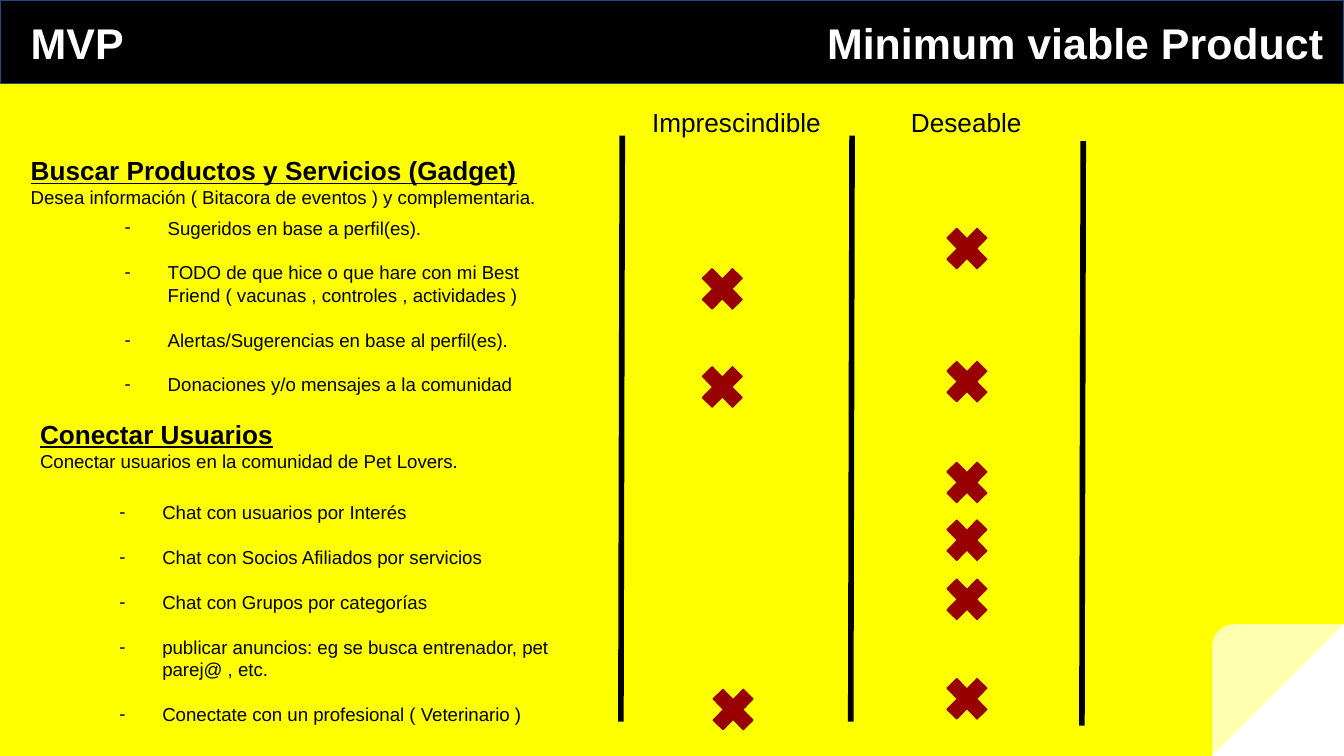
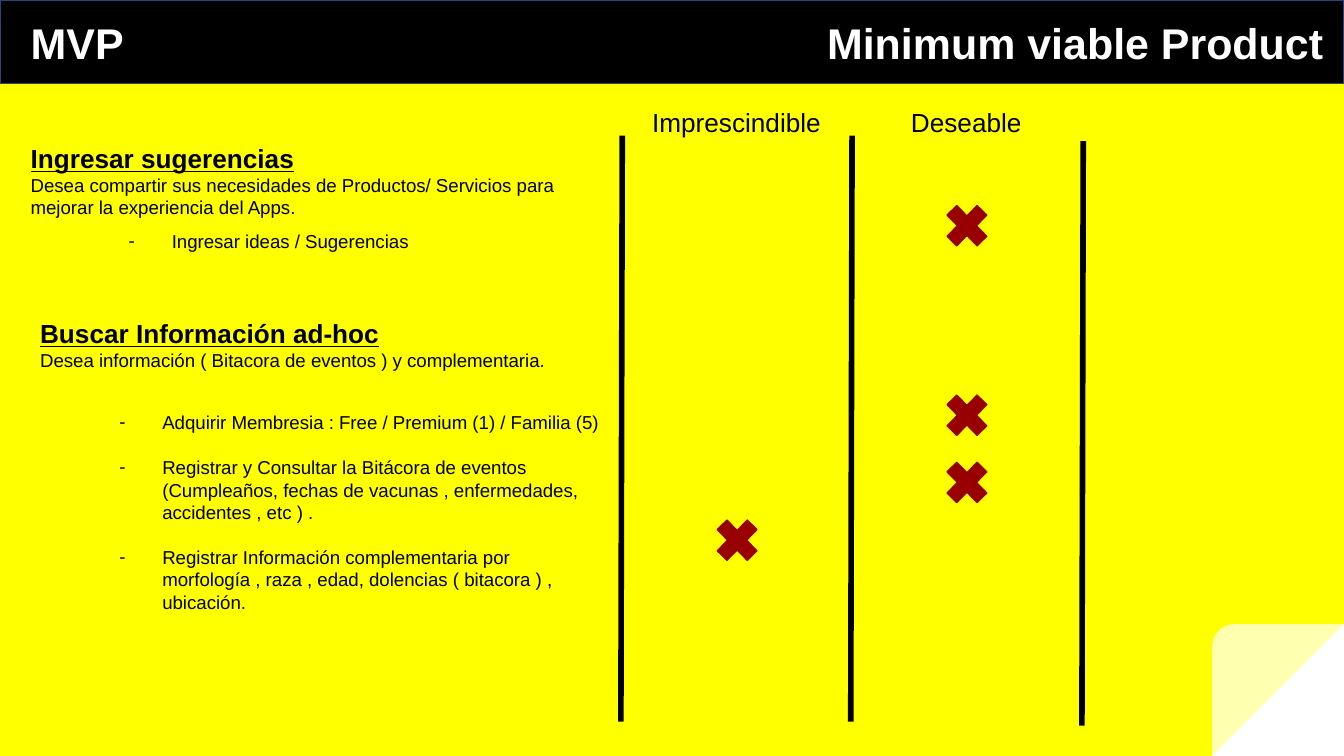
from typing import NamedTuple

import lxml.etree
import pptx
import pptx.dml.color
import pptx.enum.shapes
import pptx.enum.text
import pptx.oxml.ns
import pptx.util

Inches = pptx.util.Inches
Pt = pptx.util.Pt
Shape = pptx.enum.shapes.MSO_SHAPE
Align = pptx.enum.text.PP_ALIGN
qn = pptx.oxml.ns.qn

FONT = "Arial"
YELLOW, BLACK, WHITE = "FFFF00", "000000", "FFFFFF"
NAVY, CRIMSON = "1F497D", "980000"
SLIDE_WIDTH = 10
SLIDE_HEIGHT = SLIDE_WIDTH * 9 / 16
BAND_HEIGHT, CORNER_SIZE = 0.62, 0.98
MARK_WIDTH, MARK_HEIGHT = 0.43, 0.44
DESIRABLE_X = 6.98
TITLE_SIZE, HEADING_SIZE, BODY_SIZE = 23, 14, 10


class Area(NamedTuple):
    left: float
    top: float
    width: float
    height: float


class Divider(NamedTuple):
    x: float
    top: float
    bottom: float


class Section(NamedTuple):
    heading: str
    summary: str
    heading_area: Area
    items: list[str]
    items_area: Area


class Mark(NamedTuple):
    left: float
    top: float


class Page(NamedTuple):
    sections: list[Section]
    marks: list[Mark]


DIVIDERS = [Divider(4.63, 1.01, 5.37), Divider(6.34, 1.01, 5.37), Divider(8.06, 1.05, 5.4)]

PAGES = [
    Page(
        [
            Section(
                "Buscar Productos y Servicios (Gadget)",
                "Desea información ( Bitacora de eventos ) y complementaria.",
                Area(0.13, 1.05, 4.24, 0.61),
                [
                    "Sugeridos en base a perfil(es).",
                    "TODO de que hice o que hare con mi Best Friend ( vacunas , controles , actividades )",
                    "Alertas/Sugerencias en base al perfil(es).",
                    "Donaciones y/o mensajes a la comunidad",
                ],
                Area(0.65, 1.51, 3.5, 1.55),
            ),
            Section(
                "Conectar Usuarios",
                "Conectar usuarios en la comunidad de Pet Lovers.",
                Area(0.2, 3.01, 4.24, 0.61),
                [
                    "Chat con usuarios por Interés",
                    "Chat con Socios Afiliados por servicios",
                    "Chat con Grupos por categorías",
                    "publicar anuncios: eg se busca entrenador, pet parej@ , etc.",
                    "Conectate con un profesional ( Veterinario )",
                ],
                Area(0.61, 3.63, 3.7, 1.89),
            ),
        ],
        [Mark(DESIRABLE_X, top) for top in (1.63, 2.62, 3.37, 3.8, 4.24, 4.98)]
        + [Mark(5.16, 1.93), Mark(5.16, 2.66), Mark(5.24, 5.06)],
    ),
    Page(
        [
            Section(
                "Ingresar sugerencias",
                "Desea compartir sus necesidades de Productos/ Servicios para mejorar la experiencia del Apps.",
                Area(0.13, 0.96, 4.24, 0.77),
                ["Ingresar ideas / Sugerencias"],
                Area(0.68, 1.63, 3.5, 0.37),
            ),
            Section(
                "Buscar Información ad-hoc",
                "Desea información ( Bitacora de eventos ) y complementaria.",
                Area(0.2, 2.26, 4.35, 0.61),
                [
                    "Adquirir Membresia : Free / Premium (1) / Familia (5)",
                    "Registrar y Consultar la Bitácora de eventos (Cumpleaños, fechas de vacunas , "
                    "enfermedades, accidentes , etc ) .",
                    "Registrar Información complementaria por morfología , raza , edad, dolencias "
                    "( bitacora ) , ubicación.",
                ],
                Area(0.61, 2.96, 3.97, 1.55),
            ),
        ],
        [Mark(DESIRABLE_X, top) for top in (1.46, 2.87, 3.37)] + [Mark(5.27, 3.8)],
    ),
]


def color(value: str) -> pptx.dml.color.RGBColor:
    return pptx.dml.color.RGBColor.from_string(value)


def add_shape(page, kind, area: Area, fill: str, outline: str | None = None):
    shape = page.shapes.add_shape(kind, *map(Inches, area))
    shape.shadow.inherit = False
    shape.fill.solid()
    shape.fill.fore_color.rgb = color(fill)
    if outline:
        shape.line.color.rgb = color(outline)
        shape.line.width = Pt(0.75)
    else:
        shape.line.fill.background()
    return shape


def add_corner(page) -> None:
    """Draw the folded page corner at the bottom right."""
    area = Area(SLIDE_WIDTH - CORNER_SIZE, SLIDE_HEIGHT - CORNER_SIZE, CORNER_SIZE, CORNER_SIZE)
    fold = add_shape(page, Shape.RIGHT_TRIANGLE, area, WHITE)
    veil = add_shape(page, Shape.ROUND_1_RECTANGLE, area, WHITE)
    for shape in (fold, veil):
        shape.element.spPr.find(qn("a:xfrm")).set("flipH", "1")
    veil_color = veil.element.spPr.find(qn("a:solidFill"))[0]
    lxml.etree.SubElement(veil_color, qn("a:alpha")).set("val", "69000")


def add_text_frame(page, area: Area):
    frame = page.shapes.add_textbox(*map(Inches, area)).text_frame
    frame.word_wrap = True
    frame.auto_size = pptx.enum.text.MSO_AUTO_SIZE.SHAPE_TO_FIT_TEXT
    frame.margin_left = frame.margin_right = Inches(0.1)
    frame.margin_top = frame.margin_bottom = Inches(0.1)
    return frame


def add_span(para, text: str, size: float, ink: str = BLACK, bold: bool = False, underline: bool = False) -> None:
    span = para.add_run()
    span.text = text
    span.font.name = FONT
    span.font.size = Pt(size)
    span.font.color.rgb = color(ink)
    span.font.bold = bold
    span.font.underline = underline


def add_label(page, area: Area, text: str, align, size: float, ink: str = BLACK, bold: bool = False) -> None:
    para = add_text_frame(page, area).paragraphs[0]
    para.alignment = align
    add_span(para, text, size, ink, bold)


def add_dash_bullet(para) -> None:
    properties = para._p.get_or_add_pPr()
    properties.set("marL", str(Inches(0.5)))
    properties.set("indent", str(Inches(-0.32)))
    bullet_color = lxml.etree.SubElement(properties, qn("a:buClr"))
    lxml.etree.SubElement(bullet_color, qn("a:srgbClr")).set("val", BLACK)
    lxml.etree.SubElement(properties, qn("a:buFont")).set("typeface", FONT)
    lxml.etree.SubElement(properties, qn("a:buChar")).set("char", "-")


def add_section(page, section: Section) -> None:
    frame = add_text_frame(page, section.heading_area)
    add_span(frame.paragraphs[0], section.heading, HEADING_SIZE, bold=True, underline=True)
    add_span(frame.add_paragraph(), section.summary, BODY_SIZE)

    frame = add_text_frame(page, section.items_area)
    for index, item in enumerate(section.items):
        para = frame.add_paragraph() if index else frame.paragraphs[0]
        add_dash_bullet(para)
        if index:
            para.space_before = Pt(12)
        add_span(para, item, BODY_SIZE)


def add_divider(page, divider: Divider) -> None:
    line = page.shapes.add_connector(
        pptx.enum.shapes.MSO_CONNECTOR.STRAIGHT,
        Inches(divider.x),
        Inches(divider.top),
        Inches(divider.x - 0.01),
        Inches(divider.bottom),
    )
    line.line.color.rgb = color(BLACK)
    line.line.width = Pt(3)
    lxml.etree.SubElement(line.element.spPr, qn("a:effectLst"))


def add_mark(page, mark: Mark) -> None:
    area = Area(mark.left, mark.top, MARK_WIDTH, MARK_HEIGHT)
    cross = add_shape(page, Shape.MATH_MULTIPLY, area, CRIMSON, CRIMSON)
    cross.adjustments[0] = 0.235


def add_frame(page) -> None:
    """Draw everything the slides share."""
    page.background.fill.solid()
    page.background.fill.fore_color.rgb = color(YELLOW)
    add_corner(page)
    add_shape(page, Shape.RECTANGLE, Area(0, 0, SLIDE_WIDTH, BAND_HEIGHT), BLACK, NAVY)
    for left, text, align in ((0.13, "MVP", Align.LEFT), (5, "Minimum viable Product", Align.RIGHT)):
        add_label(page, Area(left, 0.02, 4.95, 0.59), text, align, TITLE_SIZE, WHITE, bold=True)
    for divider in DIVIDERS:
        add_divider(page, divider)
    for left, text in ((4.72, "Imprescindible"), (6.43, "Deseable")):
        add_label(page, Area(left, 0.69, 1.52, 0.44), text, Align.CENTER, HEADING_SIZE)


def main() -> None:
    deck = pptx.Presentation()
    deck.slide_width = Inches(SLIDE_WIDTH)
    deck.slide_height = Inches(SLIDE_HEIGHT)
    for content in PAGES:
        page = deck.slides.add_slide(deck.slide_layouts[6])
        add_frame(page)
        for section in content.sections:
            add_section(page, section)
        for mark in content.marks:
            add_mark(page, mark)
    deck.save("out.pptx")


if __name__ == "__main__":
    main()
